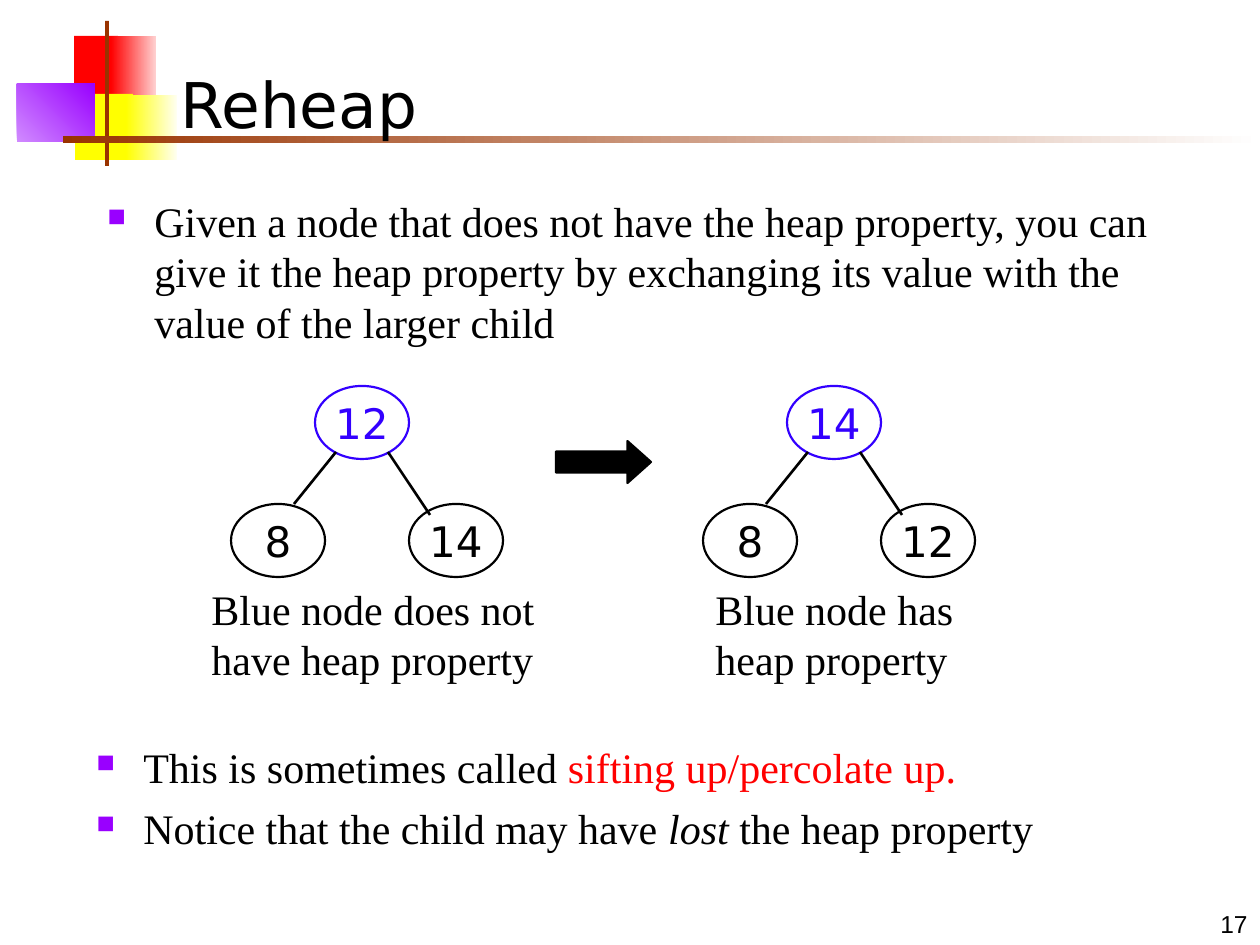
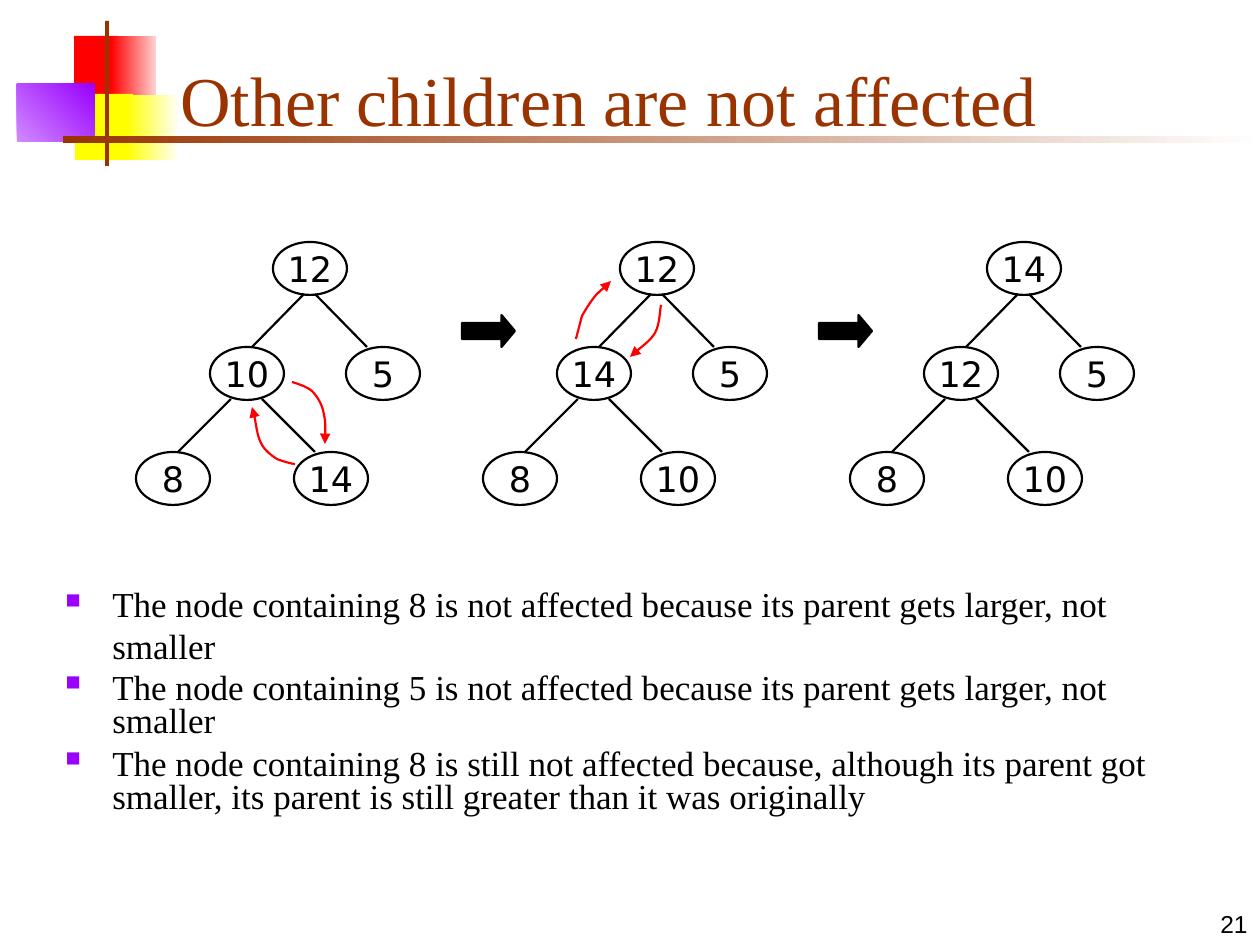
from lxml import etree
from pptx import Presentation
from pptx.dml.color import RGBColor
from pptx.enum.shapes import MSO_CONNECTOR, MSO_SHAPE
from pptx.enum.text import MSO_ANCHOR, PP_ALIGN
from pptx.oxml import parse_xml
from pptx.oxml.ns import nsdecls, qn
from pptx.util import Pt

RECT, OVAL, ARROW = MSO_SHAPE.RECTANGLE, MSO_SHAPE.OVAL, MSO_SHAPE.RIGHT_ARROW
STRAIGHT = MSO_CONNECTOR.STRAIGHT
TOP, MIDDLE, BOTTOM = MSO_ANCHOR.TOP, MSO_ANCHOR.MIDDLE, MSO_ANCHOR.BOTTOM
LEFT, CENTER, RIGHT = PP_ALIGN.LEFT, PP_ALIGN.CENTER, PP_ALIGN.RIGHT

EMU_PER_PX = 914400 / 126
COLORS = {
    "white": "FFFFFF", "black": "000000", "red": "FF0000", "pink": "FFD1D1",
    "yellow": "FFFF00", "cream": "FFFFF0", "lilac": "D18BFF",
    "purple": "9900FF", "brown": "993300", "blue": "3300FF",
}
SERIF, SANS, NUMBER_FONT = "Times New Roman", "DejaVu Sans", "Arial"

# Offsets are measured from the left edge of the lowest left node and the top of the root
SMALL_TREE = {
    "node": (94, 73), "size": 24, "edge_width": 1.5,
    "nodes": [(84, 0), (0, 118), (178, 118)],
    "edges": [(105, 66, 63, 118), (157, 66, 199, 129)],
}
TALL_TREE = {
    "node": (74, 53), "size": 20, "edge_width": 1.25,
    "nodes": [(137, 0), (74, 105), (210, 105), (0, 210), (158, 210)],
    "edges": [(168, 52, 116, 105), (179, 52, 231, 105),
              (95, 157, 42, 210), (126, 157, 179, 210)],
}


def px(value):
    return round(value * EMU_PER_PX)


def rgb(name):
    return RGBColor.from_string(COLORS[name])


def add_run(paragraph, text, font, size, color="black", italic=False):
    run = paragraph.add_run()
    run.text = text
    run.font.name, run.font.size = font, Pt(size)
    run.font.color.rgb = rgb(color)
    run.font.italic = italic


def add_text_box(slide, box, anchor=TOP):
    frame = slide.shapes.add_textbox(*map(px, box)).text_frame
    frame.word_wrap = True
    frame.vertical_anchor = anchor
    return frame


def add_label(slide, box, text, font, size, color="black", anchor=TOP, align=LEFT):
    paragraph = add_text_box(slide, box, anchor).paragraphs[0]
    paragraph.alignment = align
    add_run(paragraph, text, font, size, color)


def set_bullet(paragraph):
    properties = paragraph._p.get_or_add_pPr()
    properties.set("marL", str(px(47)))
    properties.set("indent", str(-px(47)))
    color = etree.SubElement(properties, qn("a:buClr"))
    etree.SubElement(color, qn("a:srgbClr"), val=COLORS["purple"])
    etree.SubElement(properties, qn("a:buSzPct"), val="60000")
    etree.SubElement(properties, qn("a:buChar"), char="■")


def add_bullets(slide, box, items, size, gap, line_spacing=None):
    """Each item is a list of runs: (text, colour, italic)."""
    frame = add_text_box(slide, box)
    for index, runs in enumerate(items):
        paragraph = frame.add_paragraph() if index else frame.paragraphs[0]
        set_bullet(paragraph)
        if index:
            paragraph.space_before = Pt(gap)
        if line_spacing:
            paragraph.line_spacing = line_spacing
        for text, *style in runs:
            add_run(paragraph, text, SERIF, size, *style)


def add_band(slide, box, start, end=None, angle=0):
    band = slide.shapes.add_shape(RECT, *map(px, box))
    band.shadow.inherit = False
    band.line.fill.background()
    if end is None:
        band.fill.solid()
        band.fill.fore_color.rgb = rgb(start)
        return
    band.fill.gradient()
    band.fill.gradient_angle = angle
    for stop, color, position in zip(band.fill.gradient_stops, (start, end), (0, 1)):
        stop.color.rgb = rgb(color)
        stop.position = position


def add_node(slide, box, value, size, color):
    node = slide.shapes.add_shape(OVAL, *map(px, box))
    node.shadow.inherit = False
    node.fill.background()
    node.line.color.rgb = rgb(color)
    node.line.width = Pt(1.25)
    frame = node.text_frame
    frame.word_wrap = False
    frame.vertical_anchor = MIDDLE
    frame.paragraphs[0].alignment = CENTER
    add_run(frame.paragraphs[0], value, SANS, size, color)


def add_edge(slide, ends, width):
    edge = slide.shapes.add_connector(STRAIGHT, *map(px, ends))
    edge.line.color.rgb = rgb("black")
    edge.line.width = Pt(width)
    etree.SubElement(edge._element.spPr, qn("a:effectLst"))


def add_tree(slide, left, top, tree, values, root_color="black"):
    for index, ((x, y), value) in enumerate(zip(tree["nodes"], values)):
        color = "black" if index else root_color
        add_node(slide, (left + x, top + y, *tree["node"]), value, tree["size"], color)
    for x1, y1, x2, y2 in tree["edges"]:
        add_edge(slide, (left + x1, top + y1, left + x2, top + y2), tree["edge_width"])


def add_step_arrow(slide, box, head):
    arrow = slide.shapes.add_shape(ARROW, *map(px, box))
    arrow.shadow.inherit = False
    arrow.adjustments[1] = head
    arrow.fill.solid()
    arrow.fill.fore_color.rgb = rgb("black")
    arrow.line.color.rgb = rgb("black")
    arrow.line.width = Pt(1.25)


def add_swap_arrow(slide, points):
    """Draw a start point and triples of Bezier points as a curve with an arrowhead."""
    start, *rest = [(px(x), px(y)) for x, y in points]
    builder = slide.shapes.build_freeform(*start, scale=1.0)
    builder.add_line_segments(rest, close=False)
    curve = builder.convert_to_shape()
    curve.shadow.inherit = False
    curve.fill.background()
    curve.line.color.rgb = rgb("red")
    curve.line.width = Pt(1.25)
    curve.line._get_or_add_ln().append(
        parse_xml(f'<a:tailEnd {nsdecls("a")} type="triangle"/>'))
    # Turn each three straight segments into one cubic segment
    outline = curve._element.spPr.find(".//" + qn("a:path"))
    segments = outline.findall(qn("a:lnTo"))
    for first in range(0, len(segments), 3):
        cubic = etree.SubElement(outline, qn("a:cubicBezTo"))
        for segment in segments[first:first + 3]:
            cubic.append(segment[0])
            outline.remove(segment)


def add_base_slide(prs, title, number, font, size, color):
    slide = prs.slides.add_slide(prs.slide_layouts[6])
    # Corner blocks and rules
    add_band(slide, (74, 36, 44, 65), "red")
    add_band(slide, (111, 36, 45, 65), "red", "pink")
    add_band(slide, (75, 94, 58, 66), "yellow")
    add_band(slide, (126, 95, 51, 65), "yellow", "cream")
    add_band(slide, (17, 84, 78, 58), "lilac", "purple", 45)
    add_band(slide, (105, 21, 4, 145), "brown")
    add_band(slide, (63, 136, 1197, 7), "brown", "white")
    # Page number and title
    add_label(slide, (998, 882, 262, 63), number, NUMBER_FONT, 14,
              anchor=BOTTOM, align=RIGHT)
    add_label(slide, (168, 31, 1074, 116), title, font, size, color, BOTTOM)
    return slide


def build_reheap(prs):
    slide = add_base_slide(prs, "Reheap", "17", SANS, 36, "black")
    add_bullets(slide, (95, 189, 1071, 210), [
        [("Given a node that does not have the heap property, you can give it the "
          "heap property by exchanging its value with the value of the larger child",)],
    ], 24, 6)
    add_bullets(slide, (84, 735, 1081, 179), [
        [("This is sometimes called ",), ("sifting up/percolate up.", "red")],
        [("Notice that the child may have ",), ("lost", "black", True),
         (" the heap property",)],
    ], 24, 6)
    # Before and after the exchange
    add_tree(slide, 231, 386, SMALL_TREE, ("12", "8", "14"), "blue")
    add_tree(slide, 703, 386, SMALL_TREE, ("14", "8", "12"), "blue")
    add_label(slide, (199, 577, 357, 113), "Blue node does not have heap property", SERIF, 24)
    add_label(slide, (703, 577, 273, 113), "Blue node has heap property", SERIF, 24)
    add_step_arrow(slide, (556, 441, 95, 42), 0.56)


def build_other_children(prs):
    slide = add_base_slide(prs, "Other children are not affected", "21", SERIF, 40, "brown")
    unaffected = "The node containing {} is not affected because its parent gets larger, not smaller"
    add_bullets(slide, (53, 576, 1135, 97), [[(unaffected.format(8),)]], 20, 5)
    add_bullets(slide, (53, 667, 1158, 169), [
        [(unaffected.format(5),)],
        [("The node containing 8 is still not affected because, although its parent got "
          "smaller, its parent is still greater than it was originally",)],
    ], 20, 5, 0.8)
    # Three stages of sifting up
    stages = [(136, ("12", "10", "5", "8", "14")),
              (483, ("12", "14", "5", "8", "10")),
              (850, ("14", "12", "5", "8", "10"))]
    for left, values in stages:
        add_tree(slide, left, 242, TALL_TREE, values)
    for left in (462, 819):
        add_step_arrow(slide, (left, 315, 53, 32), 0.42)
    # Exchanges between parent and child
    swaps = [
        [(295, 464), (292, 464), (282, 461), (277, 459), (271, 455),
         (265, 451), (261, 443), (257, 435), (255, 415), (252, 407)],
        [(292, 382), (295, 383), (306, 386), (312, 391), (318, 397),
         (323, 406), (324, 415), (326, 423), (325, 438), (325, 444)],
        [(576, 339), (577, 335), (580, 324), (582, 316), (586, 309),
         (591, 301), (596, 295), (601, 290), (609, 284), (611, 281)],
        [(661, 305), (660, 309), (660, 324), (655, 333), (650, 341), (635, 352), (630, 357)],
    ]
    for points in swaps:
        add_swap_arrow(slide, points)


def main():
    prs = Presentation()
    prs.slide_width, prs.slide_height = px(1260), px(945)
    build_reheap(prs)
    build_other_children(prs)
    prs.save("out.pptx")


if __name__ == "__main__":
    main()
